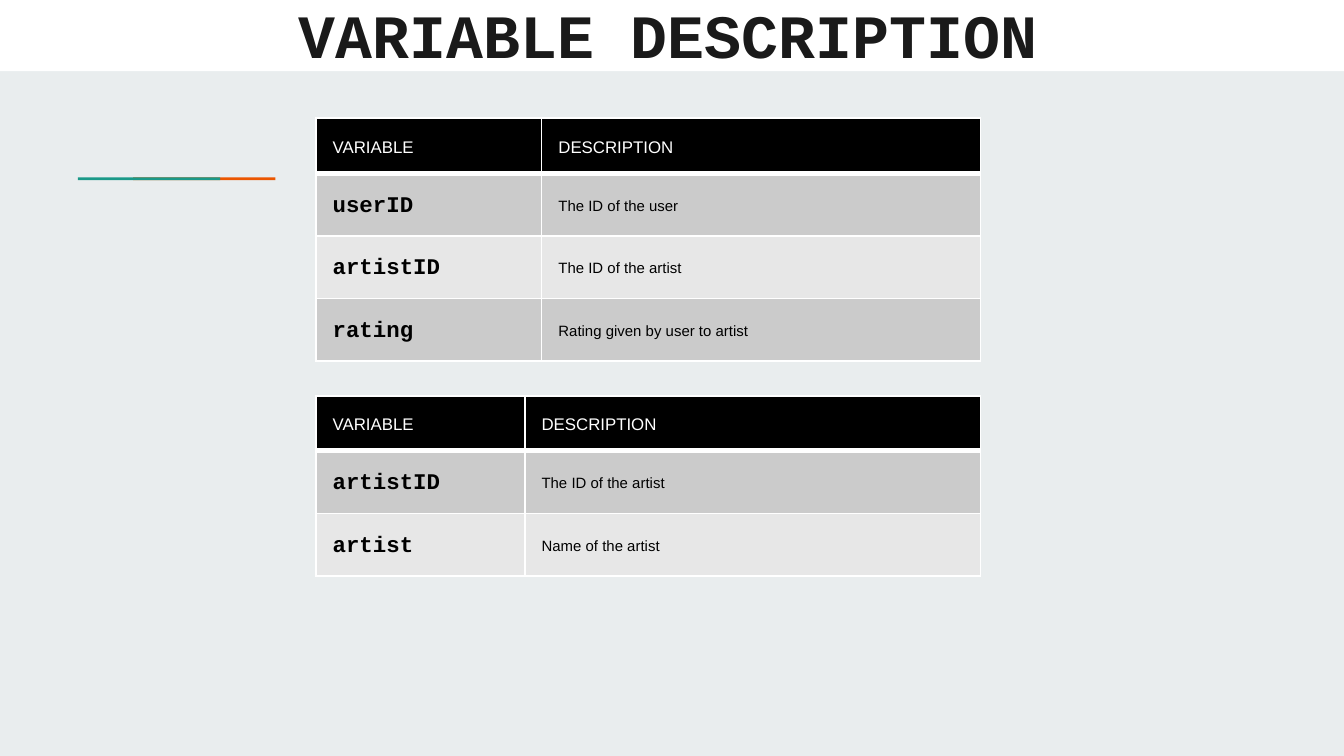
from lxml.etree import SubElement
from pptx import Presentation
from pptx.dml.color import RGBColor
from pptx.enum.shapes import MSO_SHAPE as Shape
from pptx.enum.text import MSO_ANCHOR as Anchor, MSO_AUTO_SIZE as Fit, PP_ALIGN as Align
from pptx.oxml.ns import qn
from pptx.util import Inches, Pt

BLACK = RGBColor(0x00, 0x00, 0x00)
WHITE = RGBColor(0xFF, 0xFF, 0xFF)
INK = RGBColor(0x1A, 0x1A, 0x1A)
PALE = RGBColor(0xE9, 0xED, 0xEE)
DARK = RGBColor(0xCB, 0xCB, 0xCB)
LIGHT = RGBColor(0xE7, 0xE7, 0xE7)
TEAL = RGBColor(0x1A, 0x99, 0x88)
RUST = RGBColor(0xEB, 0x56, 0x00)
SANS, MONO = "Arial", "Courier New"

# Grid of tenths of an inch: 100 columns by 56.25 rows
COLS, ROWS = 100, 56.25
HEAD, BODY = 4.1, 4.65
PAD, SIDE = 1.2, 1.25

RATINGS = [("userID", "The ID of the user"),
           ("artistID", "The ID of the artist"),
           ("rating", "Rating given by user to artist")]
ARTISTS = [("artistID", "The ID of the artist"),
           ("artist", "Name of the artist")]


def grid(count):
    return Inches(count / 10)


def write(frame, text, size, font=SANS, color=BLACK, bold=False,
          align=Align.LEFT, space=1.15):
    para = frame.paragraphs[0]
    para.alignment = align
    para.line_spacing = space
    run = para.add_run()
    run.text = text
    run.font.size = Pt(size)
    run.font.name = font
    run.font.bold = bold
    run.font.color.rgb = color


def bar(slide, box, color):
    shape = slide.shapes.add_shape(Shape.RECTANGLE, *map(grid, box))
    shape.shadow.inherit = False
    shape.fill.solid()
    shape.fill.fore_color.rgb = color
    shape.line.fill.background()


def rule(slide, box):
    """Draw two overlapping bars, the left one in front."""
    left, top, width, height = box
    share = width * 0.72
    bar(slide, (left + width - share, top, share, height), RUST)
    bar(slide, (left, top, share, height), TEAL)


def title(slide, box, text):
    holder = slide.shapes.title
    holder.left, holder.top, holder.width, holder.height = map(grid, box)
    frame = holder.text_frame
    frame.auto_size = Fit.NONE
    frame.vertical_anchor = Anchor.TOP
    frame.word_wrap = True
    frame.margin_left = frame.margin_right = grid(1)
    frame.margin_top = frame.margin_bottom = grid(1)
    write(frame, text, 33, font=MONO, color=INK, bold=True,
          align=Align.CENTER, space=1)
    tree = slide.shapes._spTree
    tree.remove(holder._element)
    tree.append(holder._element)


def edge(cell, top, bottom):
    props = cell._tc.get_or_add_tcPr()
    for side, width in (("L", 1), ("R", 1), ("T", top), ("B", bottom)):
        line = SubElement(props, qn(f"a:ln{side}"), w=str(Pt(width)))
        fill = SubElement(line, qn("a:solidFill"))
        SubElement(fill, qn("a:srgbClr"), val=str(WHITE))


def table(slide, box, split, rows):
    """Place a variable table whose first column is split wide."""
    left, top, width = box
    height = HEAD + BODY * len(rows)
    grid_box = map(grid, (left, top, width, height))
    sheet = slide.shapes.add_table(len(rows) + 1, 2, *grid_box).table
    for col, size in zip(sheet.columns, (split, width - split)):
        col.width = grid(size)
    for i, row in enumerate([("VARIABLE", "DESCRIPTION"), *rows]):
        sheet.rows[i].height = grid(BODY if i else HEAD)
        for j, text in enumerate(row):
            cell = sheet.cell(i, j)
            edge(cell, 3 if i == 1 else 1, 1 if i else 3)
            cell.fill.solid()
            cell.fill.fore_color.rgb = (DARK if i % 2 else LIGHT) if i else BLACK
            cell.vertical_anchor = Anchor.MIDDLE
            cell.margin_left = cell.margin_right = grid(SIDE)
            cell.margin_top = cell.margin_bottom = grid(PAD)
            if i == 0:
                look = dict(size=9, color=WHITE)
            elif j == 0:
                look = dict(size=12, font=MONO, bold=True)
            else:
                look = dict(size=8)
            write(cell.text_frame, text, **look)


def main():
    deck = Presentation()
    deck.slide_width, deck.slide_height = grid(COLS), grid(ROWS)
    slide = deck.slides.add_slide(deck.slide_layouts[0])
    spare = slide.placeholders[1]._element
    spare.getparent().remove(spare)
    back = slide.background.fill
    back.solid()
    back.fore_color.rgb = PALE
    bar(slide, (0, 0, COLS, 5.3), WHITE)
    rule(slide, (5.8, 13.2, 14.7, 0.2))
    table(slide, (23.5, 8.8, 49.45), 16.8, RATINGS)
    table(slide, (23.5, 29.45, 49.45), 15.55, ARTISTS)
    title(slide, (0, -1.2, 99.4, 5.3), "VARIABLE DESCRIPTION")
    deck.save("out.pptx")


if __name__ == "__main__":
    main()
